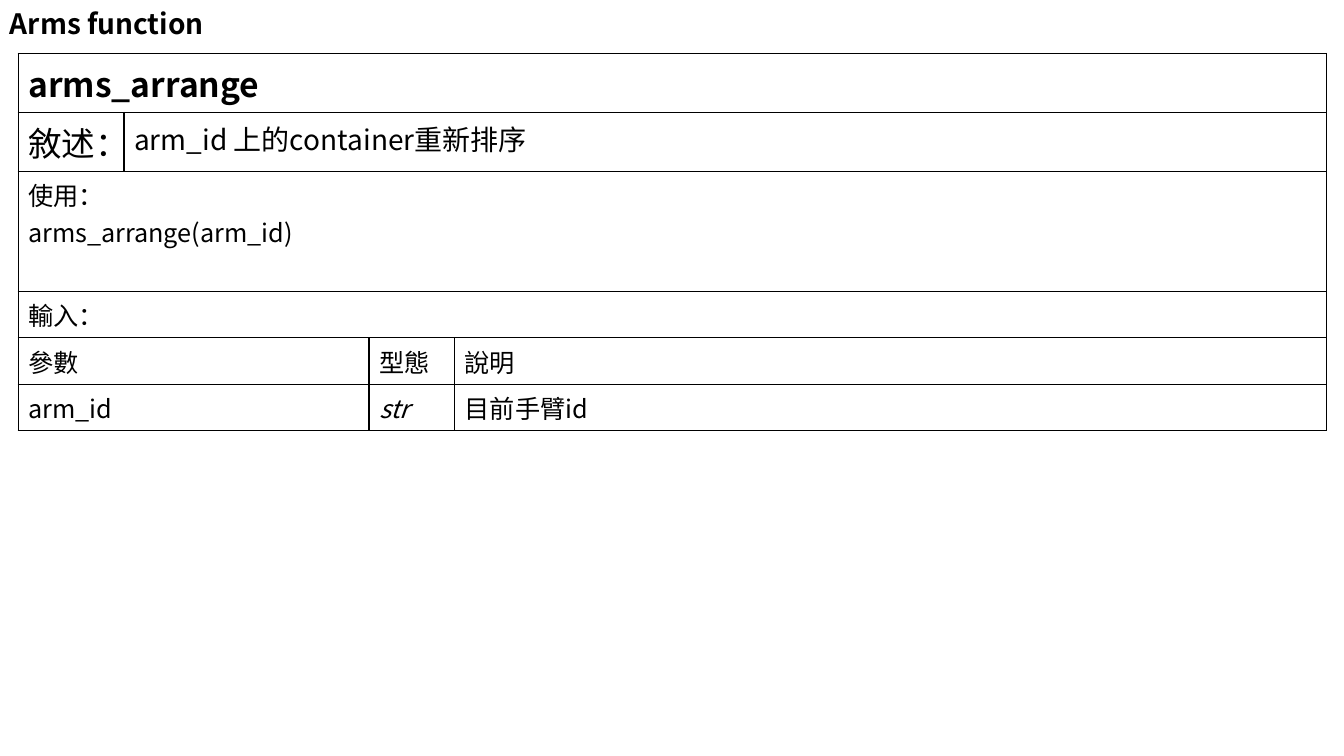
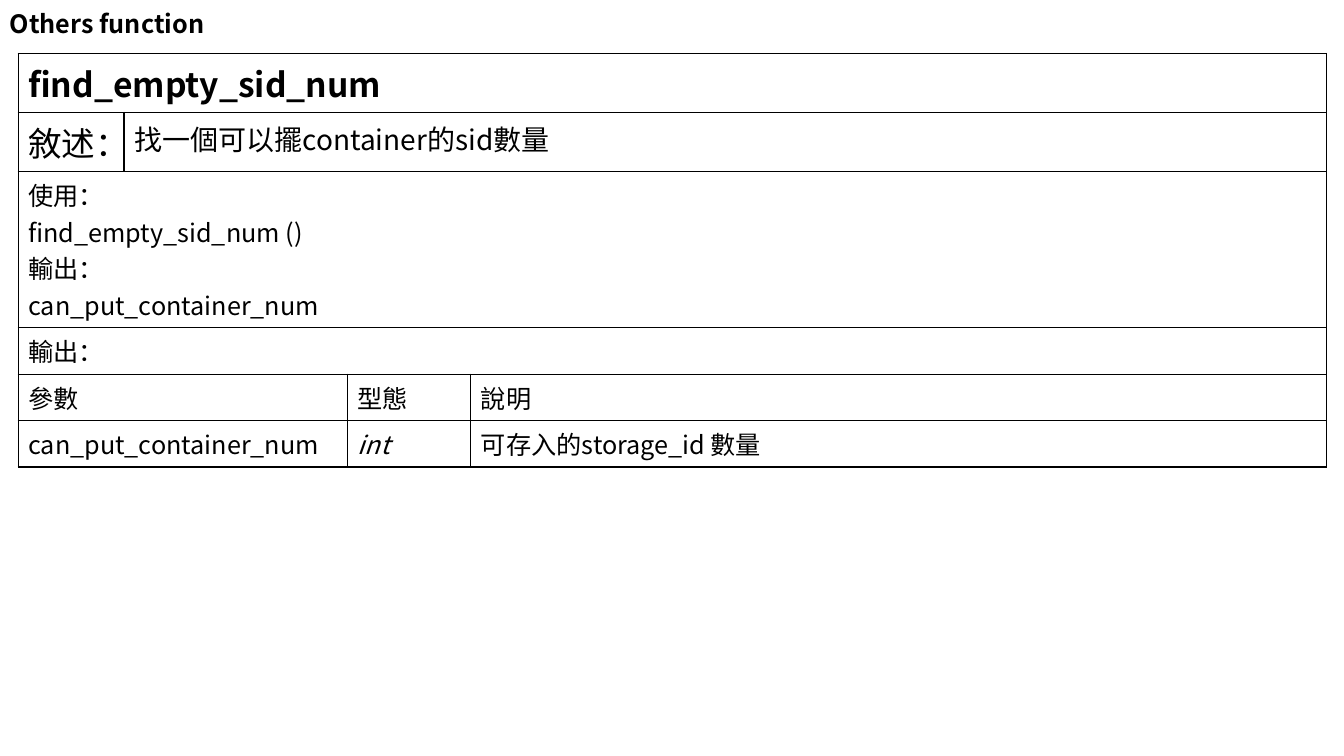
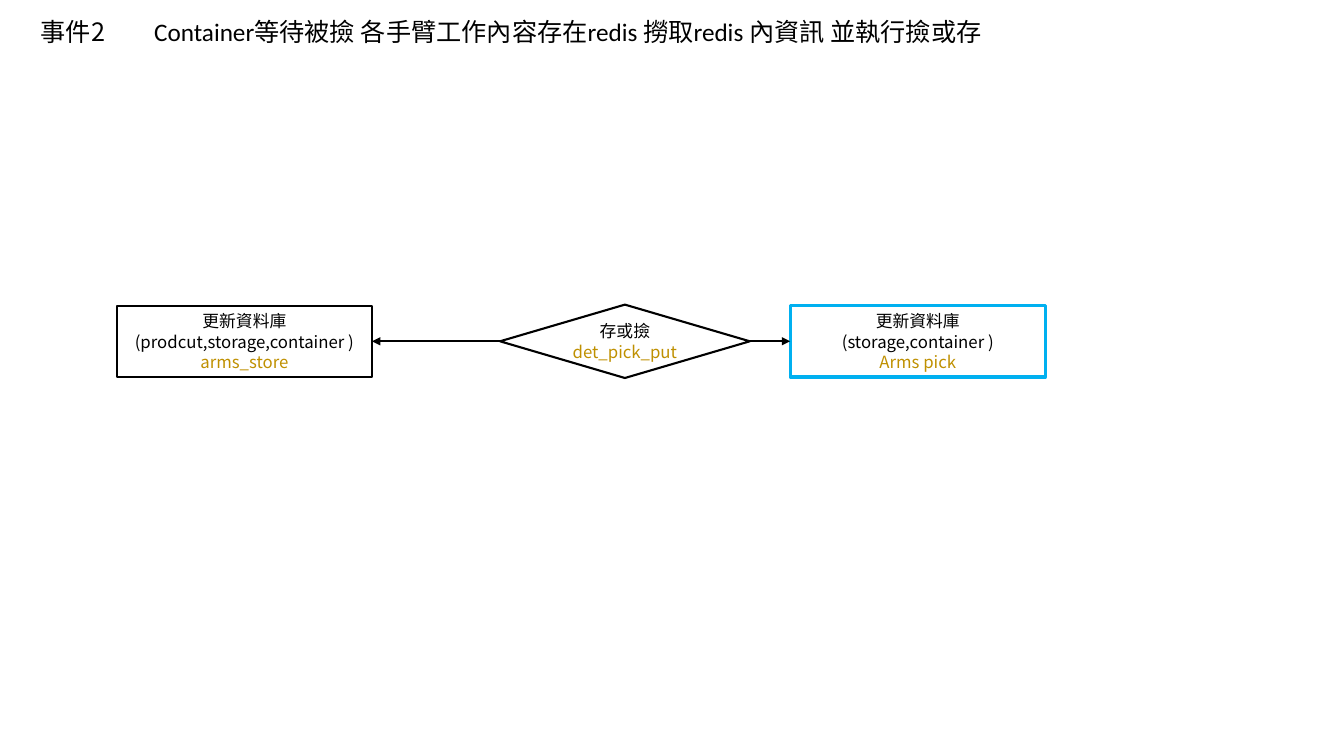
from dataclasses import dataclass

from lxml.etree import SubElement
from pptx import Presentation
from pptx.dml.color import RGBColor
from pptx.enum.shapes import MSO_CONNECTOR, MSO_SHAPE
from pptx.enum.text import MSO_ANCHOR, PP_ALIGN
from pptx.oxml.ns import qn
from pptx.util import Pt


@dataclass(frozen=True)
class Theme:
    ink: RGBColor = RGBColor(0x00, 0x00, 0x00)
    paper: RGBColor = RGBColor(0xFF, 0xFF, 0xFF)
    highlight: RGBColor = RGBColor(0x00, 0xB0, 0xF0)
    function_name: RGBColor = RGBColor(0xBF, 0x90, 0x00)
    font: str = "Noto Sans CJK TC"
    event_font: str = "Calibri"
    heading: int = 24
    summary: int = 20
    body: int = 18
    step: int = 12
    border: float = 1
    outline: float = 1.5
    thick_outline: float = 2.25
    leading: float = 1.2


SITE_LEFT, SITE_RIGHT = 1, 3
TABLE_LEFT, TABLE_TOP, TABLE_WIDTH = 13, 38.2, 934.5
LABEL_WIDTH = 75.6
ROW_SPANS = [(4,), (1, 3), (4,), (4,), (2, 1, 1), (2, 1, 1)]
HEADING_ROW, TEXT_ROW, TEXT_LINE = 42.2, 33.2, 26.1


class Deck:
    def __init__(self, theme):
        self.theme = theme
        self.presentation = Presentation()
        self.presentation.slide_width = Pt(960)
        self.presentation.slide_height = Pt(540)
        self.slide = None

    def new_slide(self):
        blank = self.presentation.slide_layouts[6]
        self.slide = self.presentation.slides.add_slide(blank)

    def style(self, paragraph, size, color=None, latin=None, bold=False, italic=False):
        for run in paragraph.runs:
            font = run.font
            font.size = Pt(size)
            font.bold = bold
            font.italic = italic
            font.color.rgb = color or self.theme.ink
            font.name = latin or self.theme.font
            east_asian = SubElement(font._element, qn("a:ea"))
            east_asian.set("typeface", self.theme.font)

    def text(self, words, left, top, width, height, size, latin=None, bold=False,
             anchor=MSO_ANCHOR.TOP, leading=None):
        box = self.slide.shapes.add_textbox(Pt(left), Pt(top), Pt(width), Pt(height))
        frame = box.text_frame
        frame.word_wrap = True
        frame.vertical_anchor = anchor
        frame.text = words
        paragraph = frame.paragraphs[0]
        paragraph.line_spacing = leading or Pt(size * self.theme.leading)
        self.style(paragraph, size, latin=latin, bold=bold)

    def title(self, words, size):
        self.text(words, 0, 1.5, 155.5, 33.8, size, bold=True,
                  anchor=MSO_ANCHOR.MIDDLE, leading=0.9)

    def cell(self, cell, words, size, bold=False, italic=False):
        cell.text = words
        for paragraph in cell.text_frame.paragraphs:
            self.style(paragraph, size, bold=bold, italic=italic)

    def frame_cell(self, cell):
        """Give a cell its four borders and a plain fill."""
        properties = cell._tc.get_or_add_tcPr()
        for side in ("a:lnL", "a:lnR", "a:lnT", "a:lnB"):
            line = SubElement(properties, qn(side), w=str(Pt(self.theme.border)))
            fill = SubElement(line, qn("a:solidFill"))
            SubElement(fill, qn("a:srgbClr"), val=str(self.theme.ink))
        cell.fill.solid()
        cell.fill.fore_color.rgb = self.theme.paper

    def function_table(self, name, summary, usage, usage_lines, direction,
                       parameter, name_width, type_width):
        theme = self.theme
        usage_row = usage_lines * TEXT_LINE + TEXT_ROW - TEXT_LINE
        heights = [HEADING_ROW] * 2 + [usage_row] + [TEXT_ROW] * 3
        note_width = TABLE_WIDTH - LABEL_WIDTH - name_width - type_width
        widths = [LABEL_WIDTH, name_width, type_width, note_width]
        table = self.slide.shapes.add_table(
            len(heights), len(widths), Pt(TABLE_LEFT), Pt(TABLE_TOP),
            Pt(TABLE_WIDTH), Pt(sum(heights))).table
        table.first_row = table.horz_banding = False
        for column, width in zip(table.columns, widths):
            column.width = Pt(width)
        for row, height in zip(table.rows, heights):
            row.height = Pt(height)
        for cell in table.iter_cells():
            self.frame_cell(cell)

        contents = [(name,), ("敘述：", summary), (usage,), (direction,),
                    ("參數", "型態", "說明"), parameter]
        sizes = [(theme.heading,), (theme.heading, theme.summary)]
        sizes += [(theme.body,) * len(spans) for spans in ROW_SPANS[2:]]
        last_row = len(heights) - 1
        for row, spans in enumerate(ROW_SPANS):
            column = 0
            for part, span in enumerate(spans):
                cell = table.cell(row, column)
                if span > 1:
                    cell.merge(table.cell(row, column + span - 1))
                self.cell(cell, contents[row][part], sizes[row][part],
                          bold=row == 0, italic=row == last_row and part == 1)
                column += span

    def step(self, preset, left, width, height, middle, lines, color=None, weight=None):
        """Draw a flow step whose last line names its function."""
        theme = self.theme
        step = self.slide.shapes.add_shape(
            preset, Pt(left), Pt(middle - height / 2), Pt(width), Pt(height))
        step.shadow.inherit = False
        step.fill.solid()
        step.fill.fore_color.rgb = theme.paper
        step.line.color.rgb = color or theme.ink
        step.line.width = Pt(weight or theme.outline)
        frame = step.text_frame
        frame.word_wrap = True
        frame.margin_left = frame.margin_right = 0
        frame.vertical_anchor = MSO_ANCHOR.MIDDLE
        frame.text = "\n".join(lines)
        for paragraph in frame.paragraphs:
            paragraph.alignment = PP_ALIGN.CENTER
            paragraph.line_spacing = Pt(theme.step * theme.leading)
            self.style(paragraph, theme.step)
        for run in frame.paragraphs[-1].runs:
            run.font.color.rgb = theme.function_name
        return step

    def arrow(self, source, source_site, target, target_site):
        arrow = self.slide.shapes.add_connector(MSO_CONNECTOR.STRAIGHT, 0, 0, 0, 0)
        arrow.begin_connect(source, source_site)
        arrow.end_connect(target, target_site)
        arrow.line.color.rgb = self.theme.ink
        arrow.line.width = Pt(self.theme.outline)
        SubElement(arrow.line._get_or_add_ln(), qn("a:tailEnd"), type="triangle")
        SubElement(arrow._element.spPr, qn("a:effectLst"))


def arms_slide(deck):
    deck.new_slide()
    deck.function_table(
        "arms_arrange", "arm_id 上的container重新排序",
        "使用：\narms_arrange(arm_id)", 3, "輸入：",
        ("arm_id", "str", "目前手臂id"), name_width=175, type_width=61.2)
    deck.title("Arms function", 20)


def others_slide(deck):
    deck.new_slide()
    deck.function_table(
        "find_empty_sid_num", "找一個可以擺container的sid數量",
        "使用：\nfind_empty_sid_num ()\n輸出：\ncan_put_container_num", 4, "輸出：",
        ("can_put_container_num", "int", "可存入的storage_id 數量"),
        name_width=159.8, type_width=88)
    deck.title("Others function", 18)


def event_slide(deck):
    theme = deck.theme
    deck.new_slide()
    deck.text("事件2", 22, 8, 61.2, 29, theme.body)
    deck.text("Container等待被撿 各手臂工作內容存在redis 撈取redis 內資訊 並執行撿或存",
              103, 8, 822, 29, theme.body, latin=theme.event_font)
    middle = 243.8
    update = {"preset": MSO_SHAPE.RECTANGLE, "width": 182.4, "height": 51,
              "middle": middle}
    pick = deck.step(left=564.4, **update, color=theme.highlight,
                     weight=theme.thick_outline,
                     lines=["更新資料庫", "(storage,container )", "Arms pick"])
    decision = deck.step(MSO_SHAPE.FLOWCHART_DECISION, 357.2, 178.4, 52.4, middle,
                         ["存或撿", "det_pick_put"])
    store = deck.step(left=83.4, **update,
                      lines=["更新資料庫", "(prodcut,storage,container )", "arms_store"])
    deck.arrow(decision, SITE_RIGHT, pick, SITE_LEFT)
    deck.arrow(decision, SITE_LEFT, store, SITE_RIGHT)


def main():
    deck = Deck(Theme())
    arms_slide(deck)
    others_slide(deck)
    event_slide(deck)
    deck.presentation.save("out.pptx")


if __name__ == "__main__":
    main()
